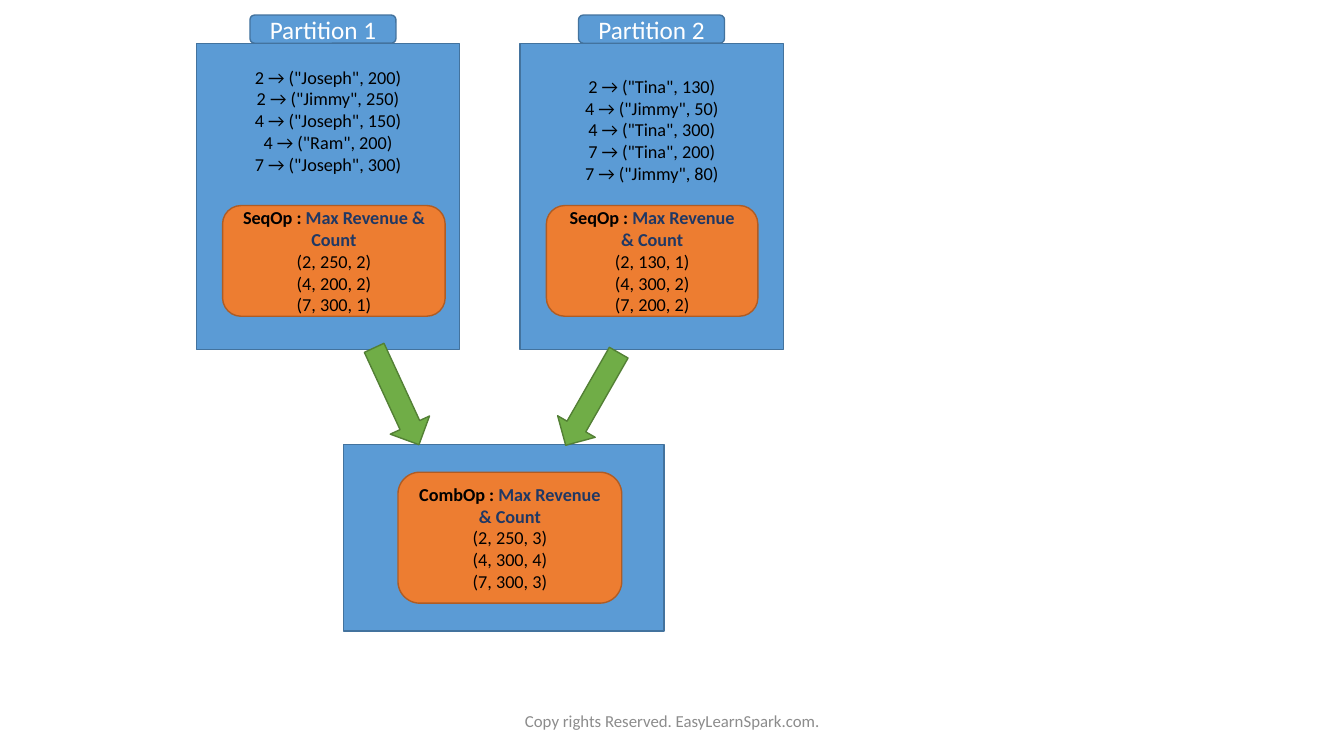
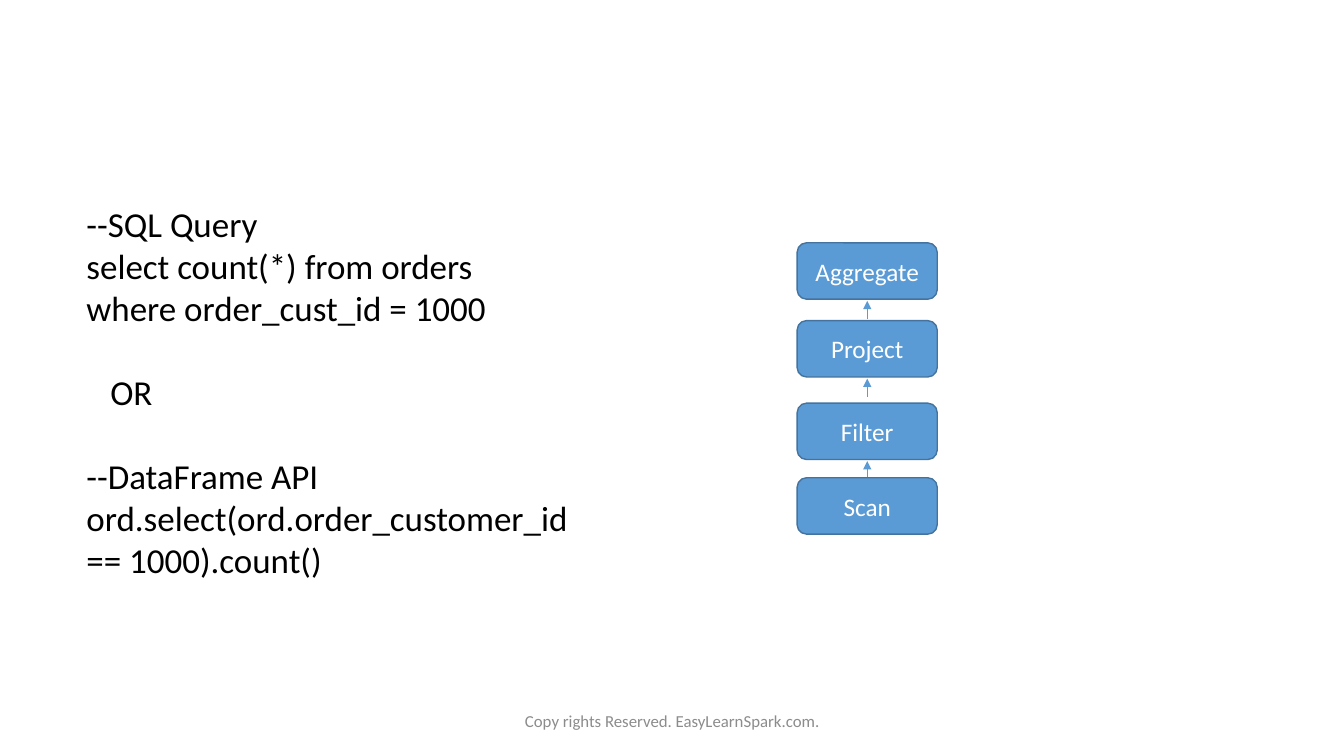
from lxml import etree
from pptx import Presentation
from pptx.dml.color import RGBColor
from pptx.enum.shapes import MSO_CONNECTOR, MSO_SHAPE
from pptx.enum.text import MSO_ANCHOR, PP_ALIGN
from pptx.oxml.ns import qn
from pptx.util import Cm, Pt

RECT = MSO_SHAPE.RECTANGLE
ROUNDED = MSO_SHAPE.ROUNDED_RECTANGLE
DOWN_ARROW = MSO_SHAPE.DOWN_ARROW
STRAIGHT = MSO_CONNECTOR.STRAIGHT
TOP, MIDDLE = MSO_ANCHOR.TOP, MSO_ANCHOR.MIDDLE
LEFT, CENTER = PP_ALIGN.LEFT, PP_ALIGN.CENTER

BLUE = RGBColor(0x5B, 0x9B, 0xD5)
BLUE_EDGE = RGBColor(0x43, 0x73, 0x9E)
ORANGE = RGBColor(0xED, 0x7D, 0x31)
ORANGE_EDGE = RGBColor(0xAF, 0x5C, 0x24)
GREEN = RGBColor(0x70, 0xAD, 0x47)
GREEN_EDGE = RGBColor(0x53, 0x80, 0x35)
NAVY = RGBColor(0x20, 0x38, 0x64)
GRAY = RGBColor(0x8C, 0x8C, 0x8C)
BLACK = RGBColor(0, 0, 0)
WHITE = RGBColor(0xFF, 0xFF, 0xFF)

FONT = "Calibri"
BLANK_LAYOUT = 6
FOOTER = "Copy rights Reserved. EasyLearnSpark.com."

# Lengths are in centimetres.
PARTITION_SIZE = (6.63, 7.72)
PARTITIONS = [
    {
        "name": "Partition 1", "left": 4.95, "tab_offset": 1.35,
        "records_inset": 0.57, "summary_width": 5.61,
        "records": ['2 → ("Joseph", 200)', '2 → ("Jimmy", 250)',
                    '4 → ("Joseph", 150)', '4 → ("Ram", 200)',
                    '7 → ("Joseph", 300)'],
        "results": ["(2, 250, 2)", "(4, 200, 2)", "(7, 300, 1)"],
    },
    {
        "name": "Partition 2", "left": 13.11, "tab_offset": 1.47,
        "records_inset": 0.8, "summary_width": 5.33,
        "records": ['2 → ("Tina", 130)', '4 → ("Jimmy", 50)',
                    '4 → ("Tina", 300)', '7 → ("Tina", 200)',
                    '7 → ("Jimmy", 80)'],
        "results": ["(2, 130, 1)", "(4, 300, 2)", "(7, 200, 2)"],
    },
]
COMBINED = ["(2, 250, 3)", "(4, 300, 4)", "(7, 300, 3)"]
MERGE_ARROWS = [(9.45, 8.64, -24.8), (14.38, 8.71, 29.8)]

QUERY_BLOCKS = [
    ["--SQL Query", "select count(*) from orders", "where order_cust_id = 1000"],
    ["OR"],
    ["--DataFrame API", "ord.select(ord.order_customer_id == 1000).count()"],
]
PLAN_STEPS = [("Aggregate", 6.12), ("Project", 8.08),
              ("Filter", 10.16), ("Scan", 12.04)]


def write_text(shape, lines, *, size, color=BLACK, align=CENTER,
               anchor=MIDDLE, inset=0):
    """Fill a shape; a line is a string or a list of (text, color, bold)."""
    frame = shape.text_frame
    frame.word_wrap = True
    frame.vertical_anchor = anchor
    frame.margin_top, frame.margin_bottom = Cm(inset), 0
    for index, line in enumerate(lines):
        paragraph = frame.paragraphs[0] if index == 0 else frame.add_paragraph()
        paragraph.alignment = align
        runs = [(line, color, False)] if isinstance(line, str) else line
        for text, run_color, bold in runs:
            run = paragraph.add_run()
            run.text = text
            run.font.name = FONT
            run.font.size = Pt(size)
            run.font.bold = bold
            run.font.color.rgb = run_color
    return frame


def add_block(slide, kind, box, fill=BLUE, edge=BLUE_EDGE):
    block = slide.shapes.add_shape(kind, *map(Cm, box))
    block.shadow.inherit = False
    block.fill.solid()
    block.fill.fore_color.rgb = fill
    block.line.color.rgb = edge
    block.line.width = Pt(1)
    return block


def add_label(slide, box, text):
    write_text(add_block(slide, ROUNDED, box), [text], size=18, color=WHITE)


def add_summary(slide, box, operation, results):
    summary = add_block(slide, ROUNDED, box, ORANGE, ORANGE_EDGE)
    heading = [(f"{operation} : ", BLACK, True),
               ("Max Revenue & Count", NAVY, True)]
    write_text(summary, [heading, *results], size=13)


def add_partition(slide, box, partition):
    left, top, width, height = box
    records = add_block(slide, RECT, box)
    write_text(records, partition["records"], size=13, anchor=TOP,
               inset=partition["records_inset"])
    add_summary(slide, (left + 0.66, top + 4.09, partition["summary_width"], 2.79),
                "SeqOp", partition["results"])
    add_label(slide, (left + partition["tab_offset"], top - 0.71, 3.68, 0.71),
              partition["name"])


def add_combiner(slide, box):
    left, top, width, height = box
    add_block(slide, RECT, box)
    add_summary(slide, (left + 1.37, top + 0.7, 5.64, height - 1.4),
                "CombOp", COMBINED)


def add_query(slide, box):
    query = slide.shapes.add_textbox(*map(Cm, box))
    lines = [line for block in QUERY_BLOCKS for line in block]
    frame = write_text(query, lines, size=25, align=LEFT, anchor=TOP, inset=0.13)
    first_lines = [block[0] for block in QUERY_BLOCKS[1:]]
    for paragraph in frame.paragraphs:
        if paragraph.text in first_lines:
            paragraph.space_before = Pt(30)
        if paragraph.text == "OR":
            paragraph._p.get_or_add_pPr().set("marL", str(Cm(0.6)))


def add_up_arrow(slide, x, tip, length):
    arrow = slide.shapes.add_connector(
        STRAIGHT, Cm(x), Cm(tip + length), Cm(x), Cm(tip))
    arrow.line.color.rgb = BLUE
    arrow.line.width = Pt(0.5)
    etree.SubElement(arrow.line._get_or_add_ln(), qn("a:tailEnd"), type="triangle")
    etree.SubElement(arrow._element.spPr, qn("a:effectLst"))


def add_plan(slide, left, width, step_height):
    """Stack the plan steps, each lower one pointing to the one above."""
    for index, (step, top) in enumerate(PLAN_STEPS):
        add_label(slide, (left, top, width, step_height), step)
        if index < len(PLAN_STEPS) - 1:
            add_up_arrow(slide, left + width / 2, top + step_height + 0.04, 0.46)


def add_footer(slide):
    footer = slide.shapes.add_textbox(Cm(11.23), Cm(17.65), Cm(11.43), Cm(1.02))
    write_text(footer, [FOOTER], size=12, color=GRAY)


def build_aggregation_slide(slide):
    for partition in PARTITIONS:
        add_partition(slide, (partition["left"], 1.09, *PARTITION_SIZE), partition)
    add_combiner(slide, (8.66, 11.2, 8.08, 4.7))
    for left, top, angle in MERGE_ARROWS:
        arrow = add_block(slide, DOWN_ARROW, (left, top, 1.09, 2.69),
                          GREEN, GREEN_EDGE)
        arrow.rotation = angle


def build_query_plan_slide(slide):
    add_query(slide, (1.93, 4.98, 13.61, 9.88))
    add_plan(slide, left=20.09, width=3.53, step_height=1.42)


def main():
    deck = Presentation()
    deck.slide_width, deck.slide_height = Cm(33.87), Cm(19.05)
    for build in (build_aggregation_slide, build_query_plan_slide):
        slide = deck.slides.add_slide(deck.slide_layouts[BLANK_LAYOUT])
        build(slide)
        add_footer(slide)
    deck.save("out.pptx")


if __name__ == "__main__":
    main()
